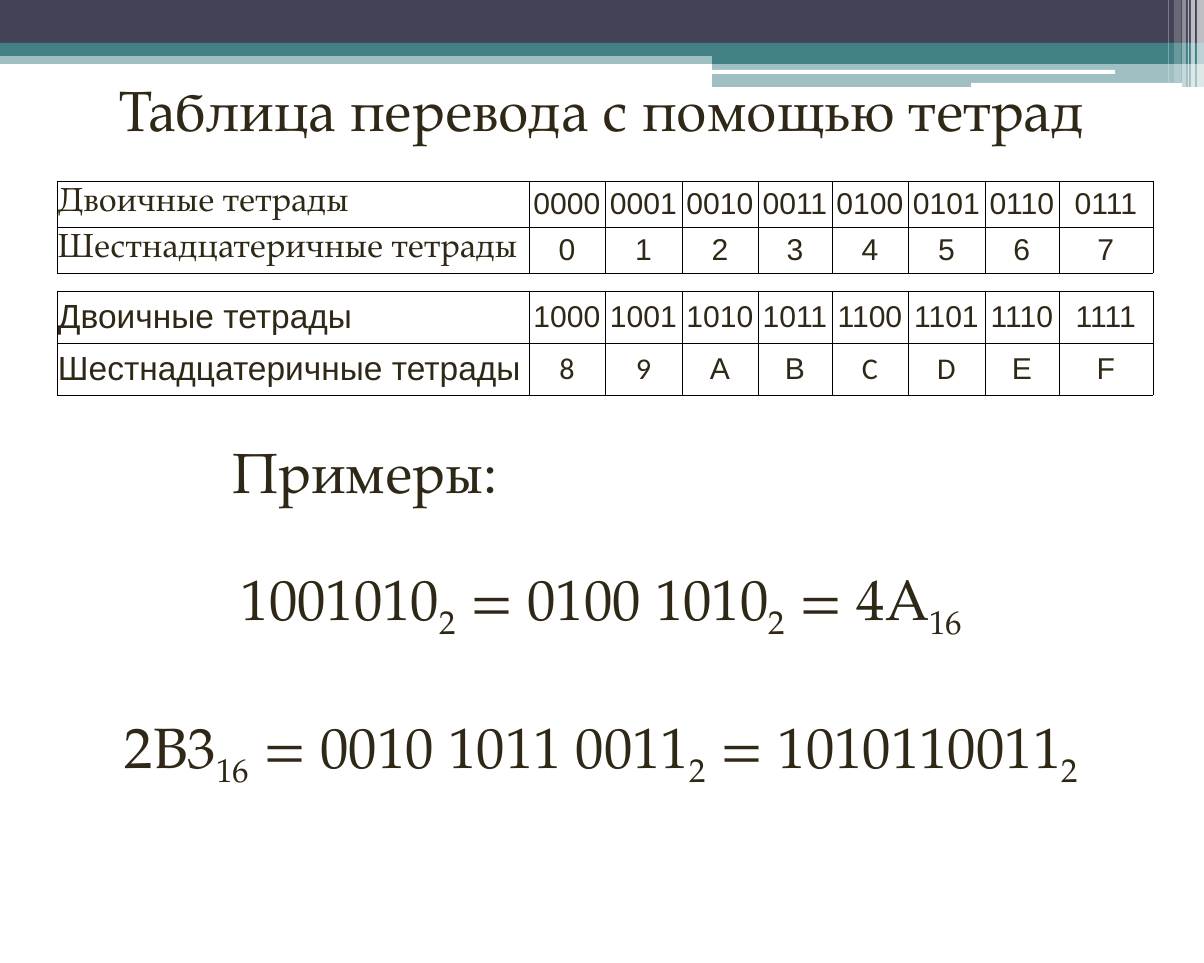
from dataclasses import dataclass

from lxml.etree import SubElement
from pptx import Presentation
from pptx.dml.color import RGBColor
from pptx.enum.shapes import MSO_SHAPE as Shape
from pptx.enum.text import MSO_ANCHOR as Anchor, PP_ALIGN as Align
from pptx.oxml import parse_xml
from pptx.oxml.ns import nsdecls, qn
from pptx.util import Pt


@dataclass(frozen=True)
class Theme:
    ink: str = "2F2817"
    dark: str = "424456"
    teal: str = "438086"
    white: str = "FFFFFF"
    rule: str = "000000"
    serif: str = "TeX Gyre Pagella"
    sans: str = "Arial"
    digit: str = "Calibri"
    large: int = 34
    label: int = 20
    code: int = 18


T = Theme()
SIZE = (1204, 963)
TITLE = "Таблица перевода с помощью тетрад"
TITLE_BOX = (52, 69, 1100, 81)

# left, top, width, height, colour, opacity in percent
BANDS = [
    (0, 52, 1204, 12, T.teal, 50),
    (0, 0, 1204, 43, T.dark, 100),
    (0, 43, 1204, 13, T.teal, 100),
    (712, 51, 492, 13, T.teal, 100),
    (712, 62, 492, 25, T.teal, 50),
]
BARS = [(712, 70, 403, 4), (971, 83, 211, 4)]
# left, width, height, opacity in percent
STRIPES = [
    (1197, 7, 87, 65), (1191, 4, 87, 65), (1188, 1, 87, 60),
    (1182, 4, 87, 40), (1174, 7, 82, 20), (1168, 1, 82, 30),
]

LABELS = ["Двоичные тетрады", "Шестнадцатеричные тетрады"]
COLS = [472, 76, 77, 76, 74, 76, 77, 74, 94]
TABLE_LEFT = 57
# top, row height, label font, first value
TABLES = [(181, 46, T.serif, 0), (291, 52, T.sans, 8)]
CALIBRI = "89CD"

EXAMPLE_BOX = (101, 431, 1001, 459)
# alignment, left indent, space before in points, (text, subscript) pairs
EXAMPLES = [
    (Align.LEFT, 120, 0, [("Примеры:", "")]),
    (Align.CENTER, 0, 35,
     [("1001010", "2"), (" = 0100 1010", "2"), (" = 4A", "16")]),
    (Align.CENTER, 0, 42,
     [("2B3", "16"), (" = 0010 1011 0011", "2"), (" = 1010110011", "2")]),
]


def px(n):
    return round(n * 914400 / 120.4)


def style(run, size, face):
    font = run.font
    font.size, font.name = Pt(size), face
    font.color.rgb = RGBColor.from_string(T.ink)


def block(shapes, kind, box, color, alpha=100):
    """Add a borderless filled shape with the given opacity."""
    part = shapes.add_shape(kind, *map(px, box))
    part.shadow.inherit = False
    part.line.fill.background()
    part.fill.solid()
    part.fill.fore_color.rgb = RGBColor.from_string(color)
    if alpha < 100:
        tone = part.element.spPr.find(".//" + qn("a:srgbClr"))
        SubElement(tone, qn("a:alpha"), val=str(alpha * 1000))


def header(shapes):
    for *box, color, alpha in BANDS:
        block(shapes, Shape.RECTANGLE, box, color, alpha)
    for box in BARS:
        block(shapes, Shape.ROUNDED_RECTANGLE, box, T.white)
    for left, width, height, alpha in STRIPES:
        block(shapes, Shape.RECTANGLE, (left, 0, width, height), T.white, alpha)


def edge(cell):
    """Draw thin rules on all four sides of a cell."""
    props = cell._tc.get_or_add_tcPr()
    for i, side in enumerate(("lnL", "lnR", "lnT", "lnB")):
        props.insert(i, parse_xml(
            f'<a:{side} {nsdecls("a")} w="5715"><a:solidFill>'
            f'<a:srgbClr val="{T.rule}"/></a:solidFill></a:{side}>'))


def fill(cell, text, size, face, align):
    cell.fill.solid()
    cell.fill.fore_color.rgb = RGBColor.from_string(T.white)
    edge(cell)
    cell.margin_left = cell.margin_right = px(1)
    cell.margin_top = cell.margin_bottom = px(6)
    cell.vertical_anchor = Anchor.MIDDLE
    cell.text = text
    para = cell.text_frame.paragraphs[0]
    para.alignment = align
    style(para.runs[0], size, face)


def tetrads(shapes, top, height, face, first):
    """Add a table of eight values in binary and hexadecimal."""
    box = (TABLE_LEFT, top, sum(COLS), 2 * height)
    table = shapes.add_table(2, len(COLS), *map(px, box)).table
    table.first_row = table.horz_banding = False
    for col, width in zip(table.columns, COLS):
        col.width = px(width)
    for r, (label, base) in enumerate(zip(LABELS, ("04b", "X"))):
        table.rows[r].height = px(height)
        fill(table.cell(r, 0), label, T.label, face, Align.LEFT)
        for c in range(1, len(COLS)):
            text = format(first + c - 1, base)
            font = T.digit if text in CALIBRI else T.sans
            fill(table.cell(r, c), text, T.code, font, Align.CENTER)


def examples(shapes):
    frame = shapes.add_textbox(*map(px, EXAMPLE_BOX)).text_frame
    frame.word_wrap = True
    for i, (align, indent, gap, parts) in enumerate(EXAMPLES):
        para = frame.add_paragraph() if i else frame.paragraphs[0]
        para.alignment = align
        para.space_before = Pt(gap)
        if indent:
            para._p.get_or_add_pPr().set("marL", str(px(indent)))
        for text, sub in parts:
            for words, shift in ((text, 0), (sub, -25000)):
                if words:
                    run = para.add_run()
                    run.text = words
                    style(run, T.large, T.serif)
                    if shift:
                        run.font._element.set("baseline", str(shift))


def main():
    deck = Presentation()
    deck.slide_width, deck.slide_height = map(px, SIZE)
    slide = deck.slides.add_slide(deck.slide_layouts[5])
    shapes, title = slide.shapes, slide.shapes.title
    header(shapes)
    title.element.getparent().append(title.element)
    title.left, title.top, title.width, title.height = map(px, TITLE_BOX)
    title.text_frame.text = TITLE
    title.text_frame.vertical_anchor = Anchor.TOP
    style(title.text_frame.paragraphs[0].runs[0], T.large, T.serif)
    for spec in TABLES:
        tetrads(shapes, *spec)
    examples(shapes)
    deck.save("out.pptx")


if __name__ == "__main__":
    main()
